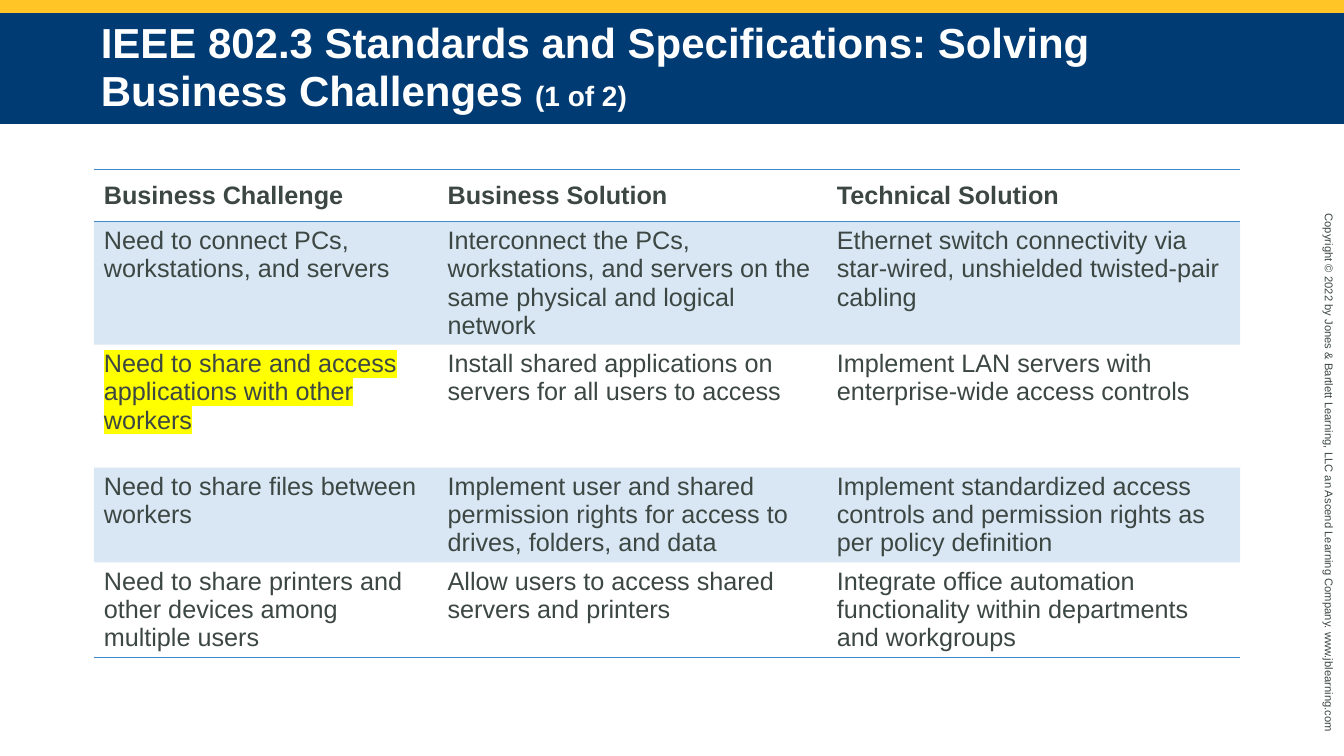
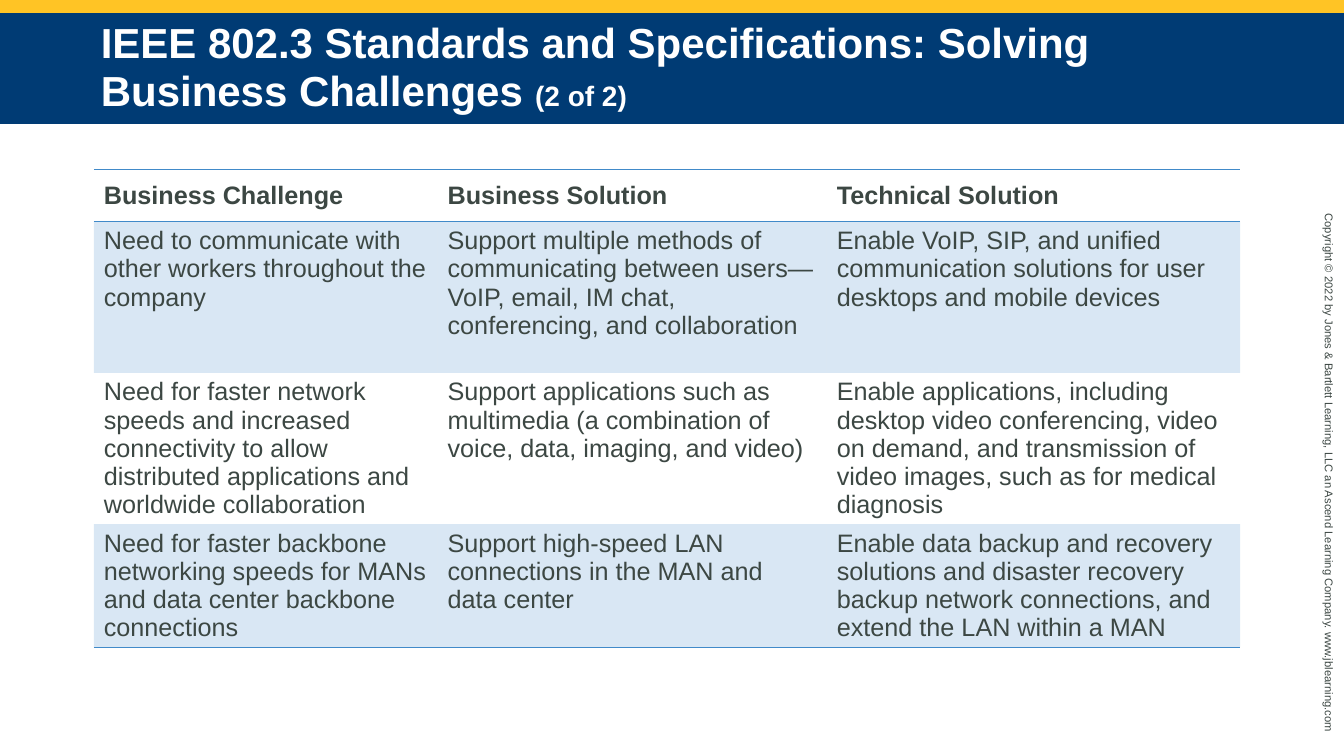
from lxml import etree
from pptx import Presentation
from pptx.dml.color import RGBColor
from pptx.enum.shapes import MSO_SHAPE
from pptx.enum.text import MSO_ANCHOR, MSO_AUTO_SIZE, PP_ALIGN
from pptx.oxml.ns import qn
from pptx.util import Inches, Pt

RECTANGLE = MSO_SHAPE.RECTANGLE
MIDDLE, TOP = MSO_ANCHOR.MIDDLE, MSO_ANCHOR.TOP
LEFT = PP_ALIGN.LEFT
NO_AUTOFIT, GROW = MSO_AUTO_SIZE.NONE, MSO_AUTO_SIZE.SHAPE_TO_FIT_TEXT

GOLD = RGBColor(0xFF, 0xC4, 0x25)
NAVY = RGBColor(0x00, 0x3B, 0x74)
BLUE = RGBColor(0x41, 0x8A, 0xC9)
INK = RGBColor(0x3C, 0x47, 0x43)
WHITE = RGBColor(0xFF, 0xFF, 0xFF)
YELLOW = RGBColor(0xFF, 0xFF, 0x00)

FONT = "Arial"
SLIDE_W, SLIDE_H = 13.33, 7.5
STRIPE_H = 0.13
TITLE_BOX = (0, STRIPE_H, SLIDE_W, 1.1)
COPYRIGHT_BOX = (10.44, 4.64, 5.48, 0.24)
TABLE_LEFT, TABLE_TOP = 0.93, 1.68
COLUMN_WIDTHS = (3.41, 3.86, 4.1)
HEADER_H = 0.52
PLAIN_TABLE_STYLE = "{2D5ABB26-0587-4C30-8999-92F81FD0307C}"

TITLE = "IEEE 802.3 Standards and Specifications: Solving Business Challenges "
COPYRIGHT = ("Copyright © 2022 by Jones & Bartlett Learning, LLC an Ascend "
             "Learning Company. www.jblearning.com")
HEADINGS = ("Business Challenge", "Business Solution", "Technical Solution")
HIGHLIGHTED = "Need to share and access applications with other workers"

# Each slide: rows of (height, three cell texts)
CHALLENGES = [
    [
        (1.22, ("Need to connect PCs,\nworkstations, and servers",
                "Interconnect the PCs, workstations, and servers on the\n"
                "same physical and logical network",
                "Ethernet switch connectivity via\n"
                "star-wired, unshielded twisted-pair\ncabling")),
        (1.22, (HIGHLIGHTED,
                "Install shared applications on servers for all users to access",
                "Implement LAN servers with enterprise-wide access controls")),
        (0.94, ("Need to share files between workers",
                "Implement user and shared permission rights for access to "
                "drives, folders, and data",
                "Implement standardized access controls and permission rights "
                "as per policy definition")),
        (0.94, ("Need to share printers and other devices among multiple users",
                "Allow users to access shared servers and printers",
                "Integrate office automation functionality within departments "
                "and workgroups")),
    ],
    [
        (1.5, ("Need to communicate with other workers throughout the company",
               "Support multiple methods of communicating between users—VoIP, "
               "email, IM chat, conferencing, and collaboration",
               "Enable VoIP, SIP, and unified communication solutions for user "
               "desktops and mobile devices")),
        (1.5, ("Need for faster network speeds and increased connectivity to "
               "allow distributed applications and worldwide collaboration",
               "Support applications such as multimedia (a combination of "
               "voice, data, imaging, and video)",
               "Enable applications, including desktop video conferencing, "
               "video on demand, and transmission of video images, such as for "
               "medical diagnosis")),
        (1.22, ("Need for faster backbone networking speeds for MANs and data "
                "center backbone connections",
                "Support high-speed LAN connections in the MAN and data center",
                "Enable data backup and recovery solutions and disaster "
                "recovery backup network connections, and extend the LAN within "
                "a MAN")),
    ],
]


def inches(box):
    return [Inches(length) for length in box]


def add_run(paragraph, text, size, color, bold=False):
    run = paragraph.add_run()
    run.text = text
    run.font.size = Pt(size)
    run.font.name = FONT
    run.font.bold = bold
    run.font.color.rgb = color
    return run


def add_color(parent, tag, color):
    """Append a colour-holding element and return its colour node."""
    holder = etree.SubElement(parent, qn(tag))
    return etree.SubElement(holder, qn("a:srgbClr"), val=str(color))


def highlight(run, color):
    properties = run.font.fill._xPr
    add_color(properties, "a:highlight", color)
    properties.find(qn("a:solidFill")).addnext(properties[-1])


def move_to_layout(shapes, layout):
    """Place shapes behind the layout's own parts, so every slide shows them."""
    tree = layout.shapes.element
    next_id = max(shape.shape_id for shape in layout.shapes) + 1
    for offset, shape in enumerate(shapes):
        shape.element.nvSpPr.cNvPr.set("id", str(next_id + offset))
        tree.insert(2 + offset, shape.element)


def add_frame(slide):
    """Gold stripe along the top and copyright line up the right edge."""
    stripe = slide.shapes.add_shape(
        RECTANGLE, *inches((0, 0, SLIDE_W, STRIPE_H)))
    stripe.shadow.inherit = False
    stripe.fill.solid()
    stripe.fill.fore_color.rgb = GOLD
    stripe.line.fill.background()

    copyright_line = slide.shapes.add_textbox(*inches(COPYRIGHT_BOX))
    copyright_line.rotation = 90
    frame = copyright_line.text_frame
    frame.word_wrap = True
    frame.auto_size = GROW
    add_run(frame.paragraphs[0], COPYRIGHT, 8, INK)
    move_to_layout((stripe, copyright_line), slide.slide_layout)


def set_title(slide, number, total):
    title = slide.shapes.title
    title.left, title.top, title.width, title.height = inches(TITLE_BOX)
    title.fill.solid()
    title.fill.fore_color.rgb = NAVY
    frame = title.text_frame
    frame.auto_size = NO_AUTOFIT
    frame.word_wrap = True
    frame.vertical_anchor = MIDDLE
    frame.margin_left = frame.margin_right = Inches(1)
    frame.margin_top = frame.margin_bottom = Inches(0.05)
    paragraph = frame.paragraphs[0]
    paragraph.alignment = LEFT
    paragraph.line_spacing = 0.95
    add_run(paragraph, TITLE, 30, WHITE, bold=True)
    add_run(paragraph, f"({number} of {total})", 20, WHITE, bold=True)


def style_cell(cell, shaded, edges):
    """Tint the cell if shaded and rule the given edges, top before bottom."""
    if shaded:
        cell.fill.solid()
        cell.fill.fore_color.rgb = BLUE
    else:
        cell.fill.background()
    properties = cell._tc.get_or_add_tcPr()
    if shaded:
        tint = properties.find(qn("a:solidFill"))[0]
        etree.SubElement(tint, qn("a:alpha"), val="20000")
    for position, edge in enumerate(edges):
        line = etree.Element(qn(edge), w=str(Pt(1)))
        add_color(line, "a:solidFill", BLUE)
        properties.insert(position, line)


def add_challenge_table(slide, left, top, body):
    rows = [(HEADER_H, HEADINGS)] + body
    box = (left, top, sum(COLUMN_WIDTHS), sum(height for height, _ in rows))
    graphic = slide.shapes.add_table(len(rows), len(HEADINGS), *inches(box))
    table = graphic.table
    table.horz_banding = False
    table._tbl.tblPr.find(qn("a:tableStyleId")).text = PLAIN_TABLE_STYLE
    for column, width in zip(table.columns, COLUMN_WIDTHS):
        column.width = Inches(width)

    for r, (height, texts) in enumerate(rows):
        table.rows[r].height = Inches(height)
        header = r == 0
        if header:
            edges = ("a:lnT", "a:lnB")
        else:
            edges = ("a:lnB",) if r == len(rows) - 1 else ()
        for c, text in enumerate(texts):
            cell = table.cell(r, c)
            cell.vertical_anchor = MIDDLE if header else TOP
            style_cell(cell, r % 2 == 1, edges)
            frame = cell.text_frame
            for i, line in enumerate(text.split("\n")):
                paragraph = frame.add_paragraph() if i else frame.paragraphs[0]
                run = add_run(paragraph, line, 18, INK, bold=header)
                if text == HIGHLIGHTED:
                    highlight(run, YELLOW)


def main():
    deck = Presentation()
    deck.slide_width, deck.slide_height = inches((SLIDE_W, SLIDE_H))
    title_only = deck.slide_layouts[5]
    for number, body in enumerate(CHALLENGES, start=1):
        slide = deck.slides.add_slide(title_only)
        if number == 1:
            add_frame(slide)
        set_title(slide, number, len(CHALLENGES))
        add_challenge_table(slide, TABLE_LEFT, TABLE_TOP, body)
    deck.save("out.pptx")


if __name__ == "__main__":
    main()
